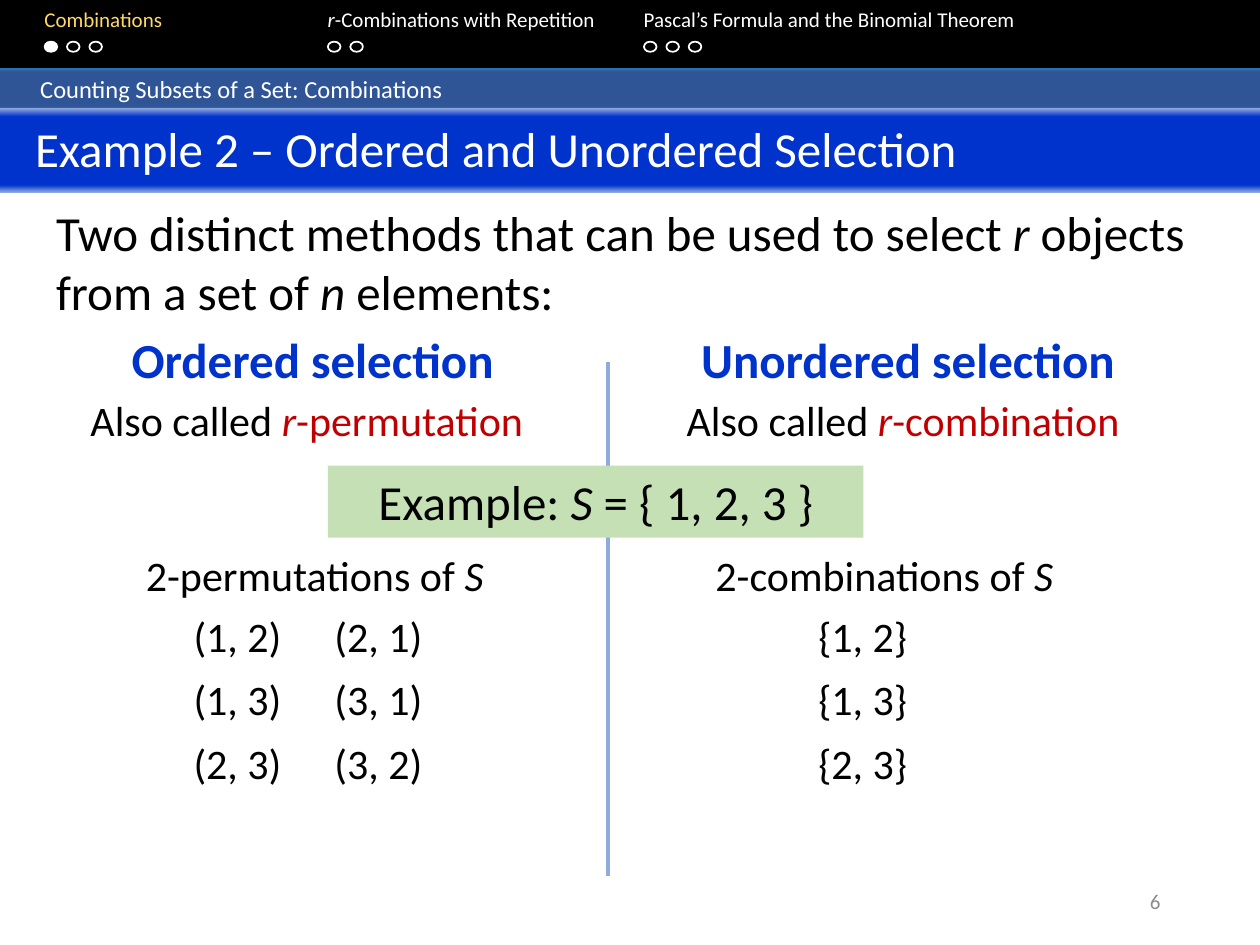
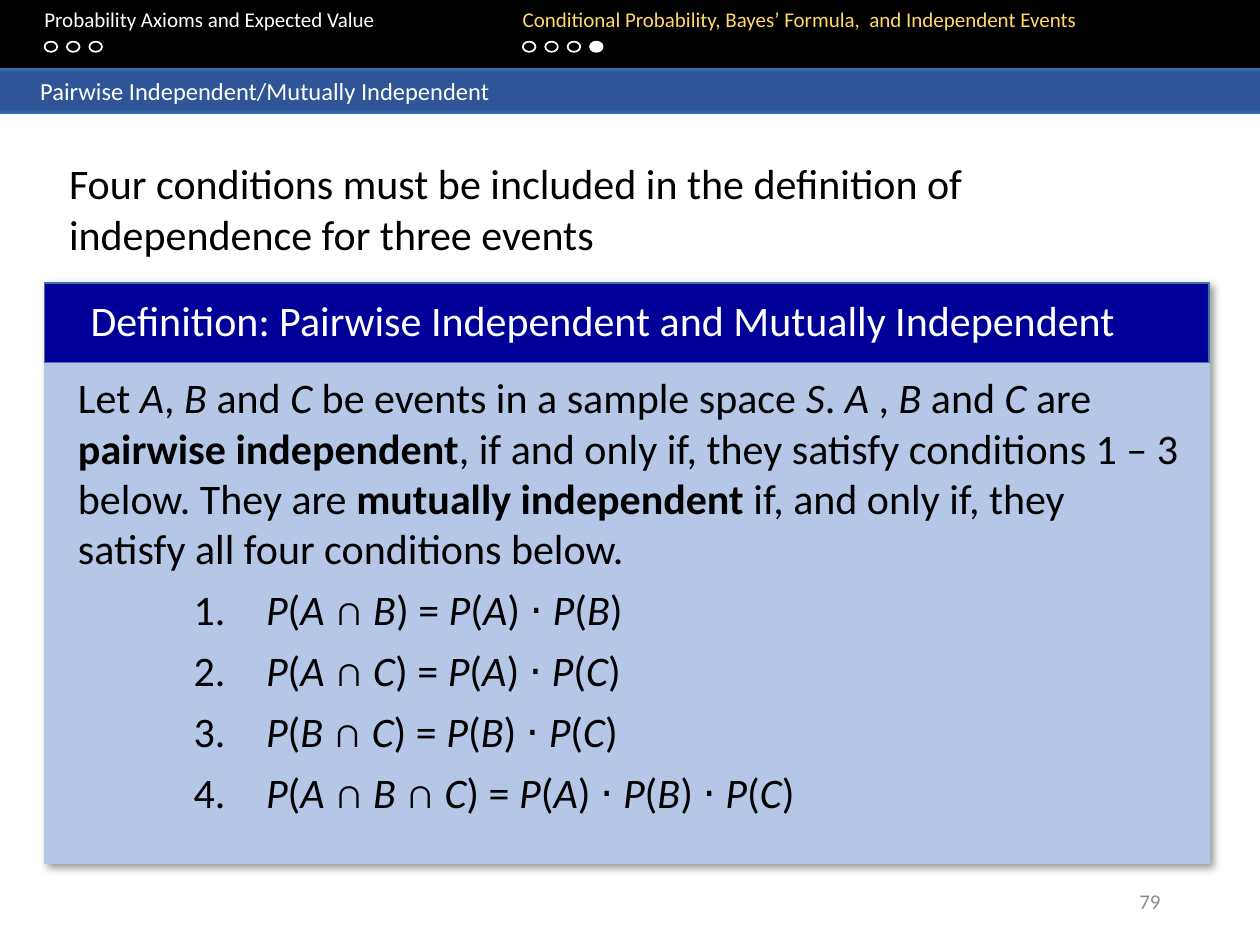
from copy import deepcopy

from pptx import Presentation
from pptx import util as u
from pptx.dml.color import RGBColor
from pptx.enum import shapes, text
from pptx.oxml import parse_xml
from pptx.oxml.ns import nsdecls, qn

FONT = "Calibri"
BLACK = RGBColor(0x00, 0x00, 0x00)
WHITE = RGBColor(0xFF, 0xFF, 0xFF)
GOLD = RGBColor(0xFF, 0xD9, 0x66)
RED = RGBColor(0xC0, 0x00, 0x00)
GREY = RGBColor(0x8C, 0x8C, 0x8C)
ROYAL = RGBColor(0x00, 0x33, 0xCC)
NAVY = RGBColor(0x00, 0x00, 0x99)
NAVY_EDGE = RGBColor(0x43, 0x73, 0x9E)
STEEL = RGBColor(0x2E, 0x75, 0xB6)
DEEP = RGBColor(0x2F, 0x55, 0x97)
MIST = RGBColor(0x8F, 0xAA, 0xDC)
PALE = RGBColor(0xB4, 0xC7, 0xE7)
GREEN = RGBColor(0xC5, 0xE0, 0xB4)

LEFT, CENTER, RIGHT = text.PP_ALIGN.LEFT, text.PP_ALIGN.CENTER, text.PP_ALIGN.RIGHT
TOP, MIDDLE = text.MSO_ANCHOR.TOP, text.MSO_ANCHOR.MIDDLE
RECT, OVAL = shapes.MSO_SHAPE.RECTANGLE, shapes.MSO_SHAPE.OVAL
INSET = 7.2

# Content: *italic*, _bold_, ^accent colour^
# Navigation sections: x, name, number of dots; current = (section, dot)
SELECTION = {
    "sections": [(25.5, "Combinations", 3),
                 (187.4, "*r*-Combinations with Repetition", 2),
                 (368, "Pascal’s Formula and the Binomial Theorem", 3)],
    "current": (0, 0),
    "topic": "Counting Subsets of a Set: Combinations",
    "topic_height": 23.8,
    "number": "6",
    "title": "Example 2 – Ordered and Unordered Selection",
    "intro": "Two distinct methods that can be used to select *r* objects "
             "from a set of *n* elements:",
    "example": "Example: *S* = { 1, 2, 3 }",
}
# Each column: heading, alias and caption with (x, width), then columns of selections
COLUMNS = [
    {"heading": ("Ordered selection", 68.1, 239),
     "alias": ("Also called ^*r*-permutation^", 41.8, 267),
     "caption": ("2-permutations of *S*", 58.1, 243.4),
     "picks": [(83.5, ["(1, 2)", "(1, 3)", "(2, 3)"]),
               (164, ["(2, 1)", "(3, 1)", "(3, 2)"])]},
    {"heading": ("Unordered selection", 393.6, 266),
     "alias": ("Also called ^*r*-combination^", 382.5, 267),
     "caption": ("2-combinations of *S*", 383.6, 243.4),
     "picks": [(440.8, ["{1, 2}", "{1, 3}", "{2, 3}"])]},
]
INDEPENDENCE = {
    "sections": [(25.5, "Probability Axioms and Expected Value", 3),
                 (298.8, "Conditional Probability, Bayes’ Formula,  and Independent Events", 4)],
    "current": (1, 3),
    "topic": "Pairwise Independent/Mutually Independent",
    "topic_height": 25.9,
    "number": "79",
    "title": "Definition: Pairwise Independent and Mutually Independent",
    "intro": "Four conditions must be included in the definition of "
             "independence for three events",
    "definition": "Let *A*, *B* and *C* be events in a sample space *S*. *A* , *B* and *C* are "
                  "_pairwise independent_, if and only if, they satisfy conditions 1 – 3 below. "
                  "They are _mutually independent _if, and only if, they satisfy all four "
                  "conditions below.",
    "conditions": ["AB", "AC", "BC", "ABC"],
}


# Text helpers
def write(p, marked, size, color=BLACK, accent=RED, align=LEFT):
    p.alignment = align
    for mark in "*_^":
        marked = marked.replace(mark, f"¦{mark}¦")
    active = set()
    for piece in filter(None, marked.split("¦")):
        if piece in ("*", "_", "^"):
            active ^= {piece}
            continue
        r = p.add_run()
        r.text = piece
        r.font.name, r.font.size = FONT, u.Pt(size)
        r.font.bold, r.font.italic = "_" in active, "*" in active
        r.font.color.rgb = accent if "^" in active else color


def frame(sp, anchor=TOP, left=INSET):
    tf = sp.text_frame
    tf.word_wrap = True
    tf.auto_size = text.MSO_AUTO_SIZE.NONE
    tf.vertical_anchor = anchor
    tf.margin_left, tf.margin_right = u.Pt(left), u.Pt(INSET)
    tf.margin_top = tf.margin_bottom = u.Pt(3.6)
    return tf


def label(s, box, marked, size, anchor=TOP, **style):
    tf = frame(s.shapes.add_textbox(*map(u.Pt, box)), anchor)
    write(tf.paragraphs[0], marked, size, **style)
    return tf.paragraphs[0]


def add_bullet(p, tag, attrs="", indent=0):
    pPr = p._p.get_or_add_pPr()
    pPr.set("marL", str(u.Pt(indent)))
    pPr.set("indent", str(-u.Pt(indent)))
    pPr.append(parse_xml(f"<a:{tag} {nsdecls('a')} {attrs}/>"))


# Shape helpers
def block(s, kind, box, fill=None, line=None):
    sp = s.shapes.add_shape(kind, *map(u.Pt, box))
    sp.shadow.inherit = False
    if fill is None:
        sp.fill.background()
    else:
        sp.fill.solid()
        sp.fill.fore_color.rgb = fill
    if line is None:
        sp.line.fill.background()
    else:
        sp.line.color.rgb = line
        sp.line.width = u.Pt(1)
    return sp


def gradient_band(s, box, edge, core):
    sp = block(s, RECT, box)
    sp.fill.gradient()
    sp.fill.gradient_angle = 270
    stops = sp._element.spPr.find(".//" + qn("a:gsLst"))
    for stop in list(stops):
        stops.append(deepcopy(stop))
    for stop, at, color in zip(sp.fill.gradient_stops, (0, 0.1, 0.91, 1),
                               (edge, core, core, edge)):
        stop.position = at
        stop.color.rgb = color
    return sp


def bring_to_front(sp, box):
    sp.left, sp.top, sp.width, sp.height = map(u.Pt, box)
    sp._element.getparent().append(sp._element)


def set_title(s, box, marked, size, left):
    bring_to_front(s.shapes.title, box)
    tf = frame(s.shapes.title, MIDDLE, left)
    tf.margin_bottom = u.Pt(7)
    write(tf.paragraphs[0], marked, size, WHITE)


def set_body(s, box):
    sp = s.placeholders[1]
    bring_to_front(sp, box)
    return frame(sp)


# Shared header, topic band and slide number
def new_slide(prs, content):
    s = prs.slides.add_slide(prs.slide_layouts[1])
    block(s, RECT, (0, -1.4, 720, 40.3), BLACK)

    sections, (section_now, dot_now) = content["sections"], content["current"]
    names = [f"^{name}^" if i == section_now else name
             for i, (_, name, _) in enumerate(sections)]
    p = label(s, (0, 0, 720, 36), "\t" + "\t".join(names), 12, color=WHITE, accent=GOLD)
    stops = "".join(f'<a:tab pos="{u.Pt(x - INSET)}" algn="l"/>' for x, _, _ in sections)
    p._p.get_or_add_pPr().append(parse_xml(f"<a:tabLst {nsdecls('a')}>{stops}</a:tabLst>"))
    for i, (x, _, count) in enumerate(sections):
        for j in range(count):
            here = (i, j) == (section_now, dot_now)
            block(s, OVAL, (x + 12.8 * j, 23.8, 7.2, 5.8), WHITE if here else None, WHITE)

    band = gradient_band(s, (0, 38.9, 720, content["topic_height"]), STEEL, DEEP)
    write(frame(band, MIDDLE, 23).paragraphs[0], content["topic"], 14, WHITE)
    label(s, (508.3, 500.4, 162, 28.8), content["number"], 12, MIDDLE,
          color=GREY, align=RIGHT)
    return s


def selection_slide(prs):
    s = new_slide(prs, SELECTION)
    p = set_body(s, (24.8, 112.3, 666, 75)).paragraphs[0]
    write(p, SELECTION["intro"], 28)
    p.space_before = u.Pt(0)
    add_bullet(p, "buNone")

    # Divider between the two kinds of selection
    x = u.Pt(347.4)
    divider = s.shapes.add_connector(shapes.MSO_CONNECTOR.STRAIGHT,
                                     x, u.Pt(206.6), x, u.Pt(500.4))
    divider.line.color.rgb = MIST
    divider.line.width = u.Pt(2.25)
    divider._element.spPr.append(parse_xml(f"<a:effectLst {nsdecls('a')}/>"))

    for column in COLUMNS:
        name, x, width = column["heading"]
        label(s, (x, 184.6, width, 41), f"_{name}_", 28, color=ROYAL)
        for key, y in (("alias", 221.8), ("caption", 310.3)):
            marked, x, width = column[key]
            label(s, (x, y, width, 36), marked, 24, align=CENTER)
        for x, picks in column["picks"]:
            for row, pick in enumerate(picks):
                label(s, (x, 345.2 + 36.4 * row, 104.4, 36), pick, 24, align=CENTER)

    example = block(s, RECT, (187.4, 266, 306, 41.2), GREEN)
    write(frame(example).paragraphs[0], SELECTION["example"], 28, align=CENTER)

    # Title on its own band
    title_box = (0, 61.9, 720, 48.2)
    gradient_band(s, title_box, MIST, ROYAL)
    set_title(s, title_box, SELECTION["title"], 28, 20)


def condition(events):
    joint = " ∩ ".join(f"*{e}*" for e in events)
    product = " ⋅ ".join(f"*P*(*{e}*)" for e in events)
    return f" *P*({joint}) = {product}"


def independence_slide(prs):
    s = new_slide(prs, INDEPENDENCE)
    label(s, (32.4, 86.6, 602.6, 67.7), INDEPENDENCE["intro"], 24)

    # Definition panel with its heading
    panel = block(s, RECT, (25.5, 161.8, 665.3, 331.2), PALE, PALE)
    effects = panel._element.spPr.find(qn("a:effectLst"))
    effects.append(parse_xml(
        f'<a:outerShdw {nsdecls("a")} blurRad="{u.Pt(4)}" dist="{u.Pt(3)}" dir="2700000">'
        f'<a:srgbClr val="{BLACK}"><a:alpha val="40000"/></a:srgbClr></a:outerShdw>'))
    heading_box = (25.5, 161.8, 665.3, 45.4)
    block(s, RECT, heading_box, NAVY, NAVY_EDGE)
    set_title(s, heading_box, INDEPENDENCE["title"], 24, 26.3)
    label(s, (37.5, 208.8, 644.6, 123.8), INDEPENDENCE["definition"], 24)

    # Numbered conditions
    tf = set_body(s, (103.4, 329.8, 468, 141.8))
    for i, events in enumerate(INDEPENDENCE["conditions"]):
        p = tf.add_paragraph() if i else tf.paragraphs[0]
        write(p, condition(events), 24)
        p.space_before, p.space_after = u.Pt(0), u.Pt(6)
        add_bullet(p, "buFont", 'typeface="+mj-lt"', 36)
        add_bullet(p, "buAutoNum", 'type="arabicPeriod"', 36)


def main():
    prs = Presentation()
    prs.slide_width, prs.slide_height = u.Pt(720), u.Pt(540)
    selection_slide(prs)
    independence_slide(prs)
    prs.save("out.pptx")


if __name__ == "__main__":
    main()
